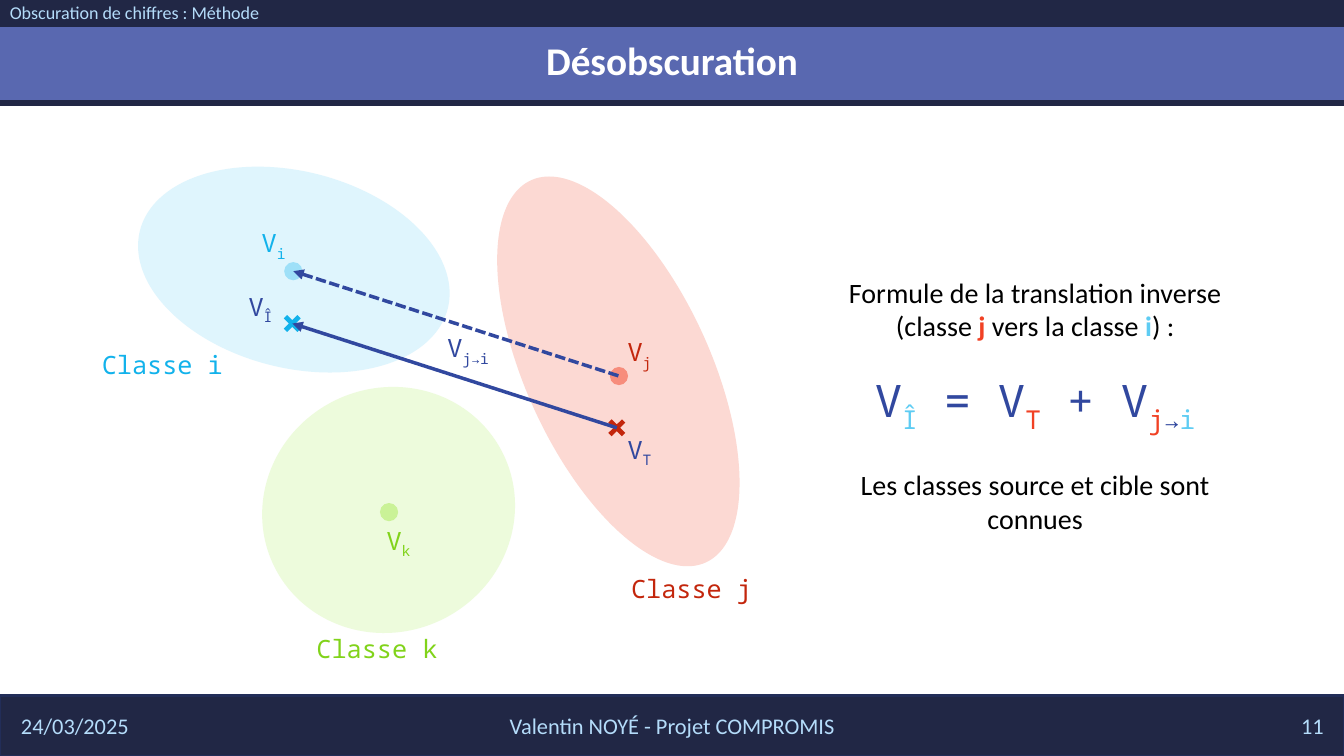
"""Build the slide on undoing the obscuring of digits by class translation."""
from pptx import Presentation
from pptx.dml.color import RGBColor
from pptx.enum.dml import MSO_LINE
from pptx.enum.shapes import MSO_CONNECTOR, MSO_SHAPE
from pptx.enum.text import MSO_ANCHOR, PP_ALIGN
from pptx.oxml.ns import qn
from pptx.util import Pt
from lxml import etree

RECT, OVAL, CROSS = MSO_SHAPE.RECTANGLE, MSO_SHAPE.OVAL, MSO_SHAPE.MATH_MULTIPLY
LEFT, MID, RIGHT = PP_ALIGN.LEFT, PP_ALIGN.CENTER, PP_ALIGN.RIGHT
TOP, CENTRE = MSO_ANCHOR.TOP, MSO_ANCHOR.MIDDLE
DASH, STRAIGHT = MSO_LINE.SQUARE_DOT, MSO_CONNECTOR.STRAIGHT
SANS, MONO = "Calibri", "Noto Sans Mono"

WHITE = RGBColor(0xFF, 0xFF, 0xFF)
BLACK = RGBColor(0, 0, 0)
NIGHT = RGBColor(0x21, 0x27, 0x45)
EDGE = RGBColor(0x22, 0x2D, 0x58)
BAND = RGBColor(0x59, 0x68, 0xB0)
PALE = RGBColor(0xB4, 0xDC, 0xFA)
NAVY = RGBColor(0x31, 0x48, 0x9F)
BLUE = RGBColor(0x12, 0xB2, 0xEB)
RED = RGBColor(0xC3, 0x26, 0x0C)
GREEN = RGBColor(0x81, 0xD3, 0x1A)
SKY = RGBColor(0x5E, 0xCC, 0xF3)
FLAME = RGBColor(0xF1, 0x41, 0x24)
BLUE_ZONE = RGBColor(0xDF, 0xF5, 0xFD)
GREEN_ZONE = RGBColor(0xED, 0xFB, 0xDC)
RED_ZONE = RGBColor(0xFC, 0xD9, 0xD3)
BLUE_DOT = RGBColor(0x9E, 0xE0, 0xF8)
RED_DOT = RGBColor(0xF7, 0x8D, 0x7C)
GREEN_DOT = RGBColor(0xCA, 0xF2, 0x97)

deck = Presentation()
deck.slide_width, deck.slide_height = Pt(960), Pt(540)
slide = deck.slides.add_slide(deck.slide_layouts[6])


def frame(left, top, width, height, anchor=TOP):
    box = slide.shapes.add_textbox(Pt(left), Pt(top), Pt(width), Pt(height))
    box.text_frame.word_wrap = True
    box.text_frame.vertical_anchor = anchor
    return box.text_frame


def write(para, text, color, size=18, face=MONO, bold=False, sub=False, align=MID):
    para.alignment = align
    run = para.add_run()
    run.text = text
    font = run.font
    font.name, font.size, font.bold = face, Pt(size), bold
    font.color.rgb = color
    if sub:
        run._r.get_or_add_rPr().set("baseline", "-25000")


bars = [
    (0, 496.8, 960, 43.2, NIGHT, EDGE, 1.5),
    (-6.5, 17.3, 975, 56.2, BAND, NIGHT, 4.5),
    (-6.5, -14.4, 975, 32.4, NIGHT, None, 0),
]
for left, top, width, height, fill, edge, weight in bars:
    bar = slide.shapes.add_shape(RECT, Pt(left), Pt(top), Pt(width), Pt(height))
    bar.shadow.inherit = False
    bar.fill.solid()
    bar.fill.fore_color.rgb = fill
    if edge:
        bar.line.color.rgb = edge
        bar.line.width = Pt(weight)
    else:
        bar.line.fill.background()

vi, vj, vk = (209.5, 193.7), (442.1, 268.6), (277.9, 365.8)
guess, test = (208.8, 231.1), (440.6, 305.6)
marks = [
    (OVAL, (209.9, 192.6), 226.8, 140.4, 14.2, BLUE_ZONE),
    (OVAL, (277.6, 364.3), 182.2, 174.2, 333.6, GREEN_ZONE),
    (OVAL, (441.7, 265.3), 300.2, 131.8, 65.4, RED_ZONE),
    (OVAL, vi, 13, 13, 0, BLUE_DOT),
    (OVAL, vj, 13, 13, 0, RED_DOT),
    (OVAL, vk, 13, 13, 0, GREEN_DOT),
    (CROSS, test, 18.7, 18.7, 0, RED),
    (CROSS, guess, 18.7, 18.7, 0, BLUE),
]
for kind, (x, y), width, height, turn, fill in marks:
    mark = slide.shapes.add_shape(
        kind, Pt(x - width / 2), Pt(y - height / 2), Pt(width), Pt(height))
    mark.shadow.inherit = False
    mark.rotation = turn
    mark.fill.solid()
    mark.fill.fore_color.rgb = fill
    mark.line.fill.background()
    if kind == CROSS:
        mark.adjustments[0] = 0.18

for (x1, y1), (x2, y2), dash in [(vi, vj, DASH), (guess, test, None)]:
    arrow = slide.shapes.add_connector(STRAIGHT, Pt(x1), Pt(y1), Pt(x2), Pt(y2))
    arrow.line.color.rgb = NAVY
    arrow.line.width = Pt(2.5)
    if dash:
        arrow.line.dash_style = dash
    etree.SubElement(arrow.line._get_or_add_ln(), qn("a:headEnd"), type="triangle")
    etree.SubElement(arrow._element.spPr, qn("a:effectLst"))

title = frame(0, -7.2, 960, 104.4, CENTRE).paragraphs[0]
title.line_spacing = 0.9
write(title, "Désobscuration", WHITE, size=28, face=SANS, bold=True)

topic = frame(0, 0, 506.9, 20.9, CENTRE).paragraphs[0]
topic.line_spacing = 0.8
write(topic, "Obscuration de chiffres : Méthode", PALE, size=12.9, face=SANS, align=LEFT)

feet = [
    (7.9, 216, "24/03/2025", LEFT),
    (318.2, 324, "Valentin NOYÉ - Projet COMPROMIS", MID),
    (736.6, 216, "11", RIGHT),
]
for left, width, text, align in feet:
    foot = frame(left, 504, width, 28.8, CENTRE).paragraphs[0]
    write(foot, text, PALE, size=16, face=SANS, align=align)

points = [
    (303.1, 234, "j→i", NAVY),
    (164.2, 159.1, "i", BLUE),
    (425.5, 236.9, "j", RED),
    (253.4, 371.5, "k", GREEN),
    (154.8, 204.5, "Î", NAVY),
    (425.5, 306.7, "T", NAVY),
]
for left, top, index, color in points:
    para = frame(left, top, 62.6, 28.8).paragraphs[0]
    write(para, "V", color)
    write(para, index, color, sub=True)

names = [(59.8, 246.2, "i", BLUE), (437.8, 406.1, "j", RED), (213.1, 448.6, "k", GREEN)]
for left, top, name, color in names:
    write(frame(left, top, 112.3, 28.8).paragraphs[0], f"Classe {name}", color)

panel = frame(586.1, 193, 306.7, 189.4)
intro = panel.paragraphs[0]
for text, color, bold in [
    ("Formule de la translation inverse (classe ", BLACK, False),
    ("j", FLAME, True),
    (" vers la classe ", BLACK, False),
    ("i", SKY, True),
    (") :", BLACK, False),
]:
    write(intro, text, color, size=20, face=SANS, bold=bold)

rule = panel.add_paragraph()
rule.space_before = Pt(22)
for text, color, sub in [
    ("V", NAVY, False),
    ("Î", SKY, True),
    (" = V", NAVY, False),
    ("T", FLAME, True),
    (" + V", NAVY, False),
    ("j", FLAME, True),
    ("→", NAVY, True),
    ("i", SKY, True),
]:
    write(rule, text, color, size=32, sub=sub)

note = panel.add_paragraph()
note.space_before = Pt(24)
write(note, "Les classes source et cible sont connues", BLACK, size=20, face=SANS)

deck.save("out.pptx")
